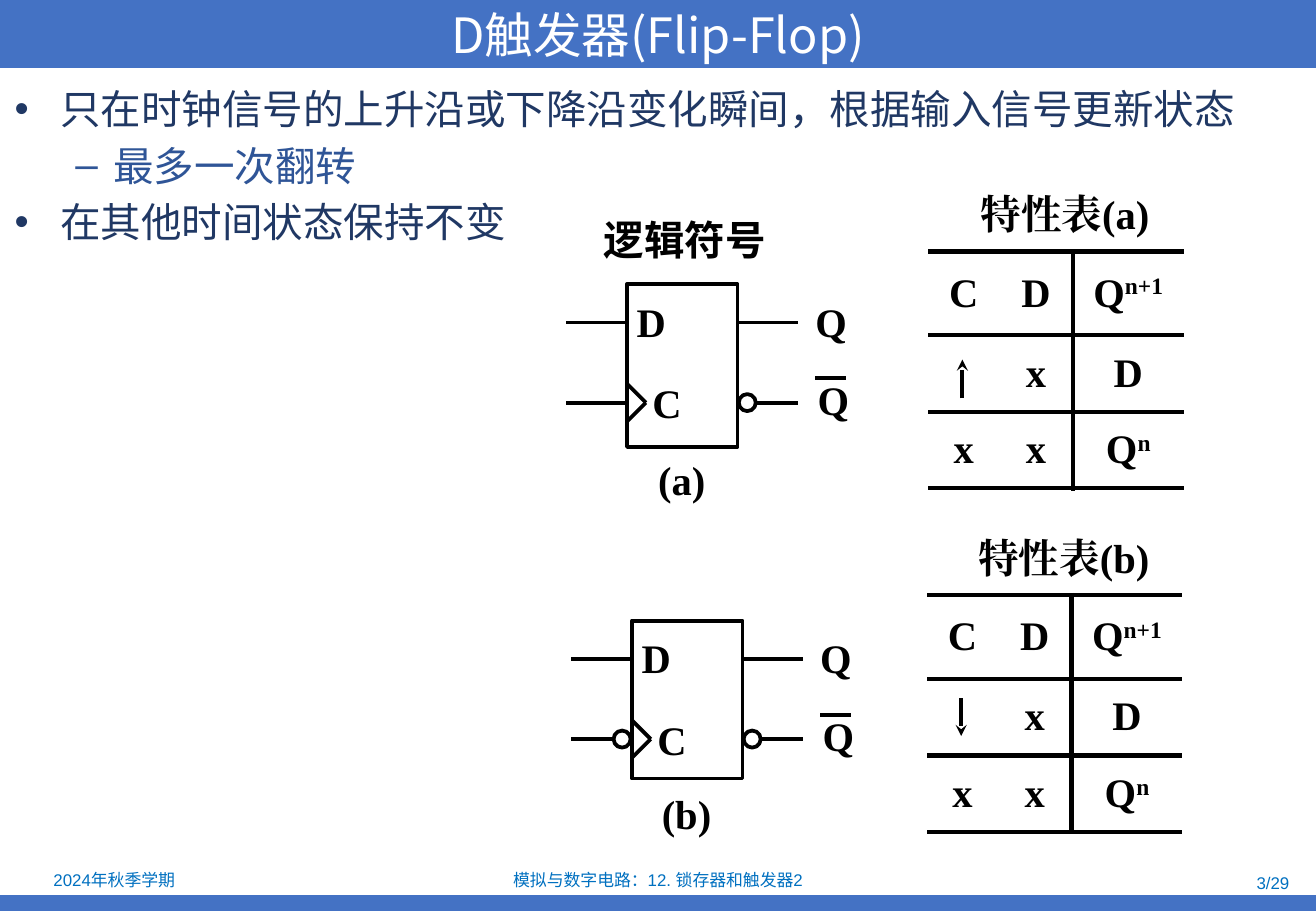
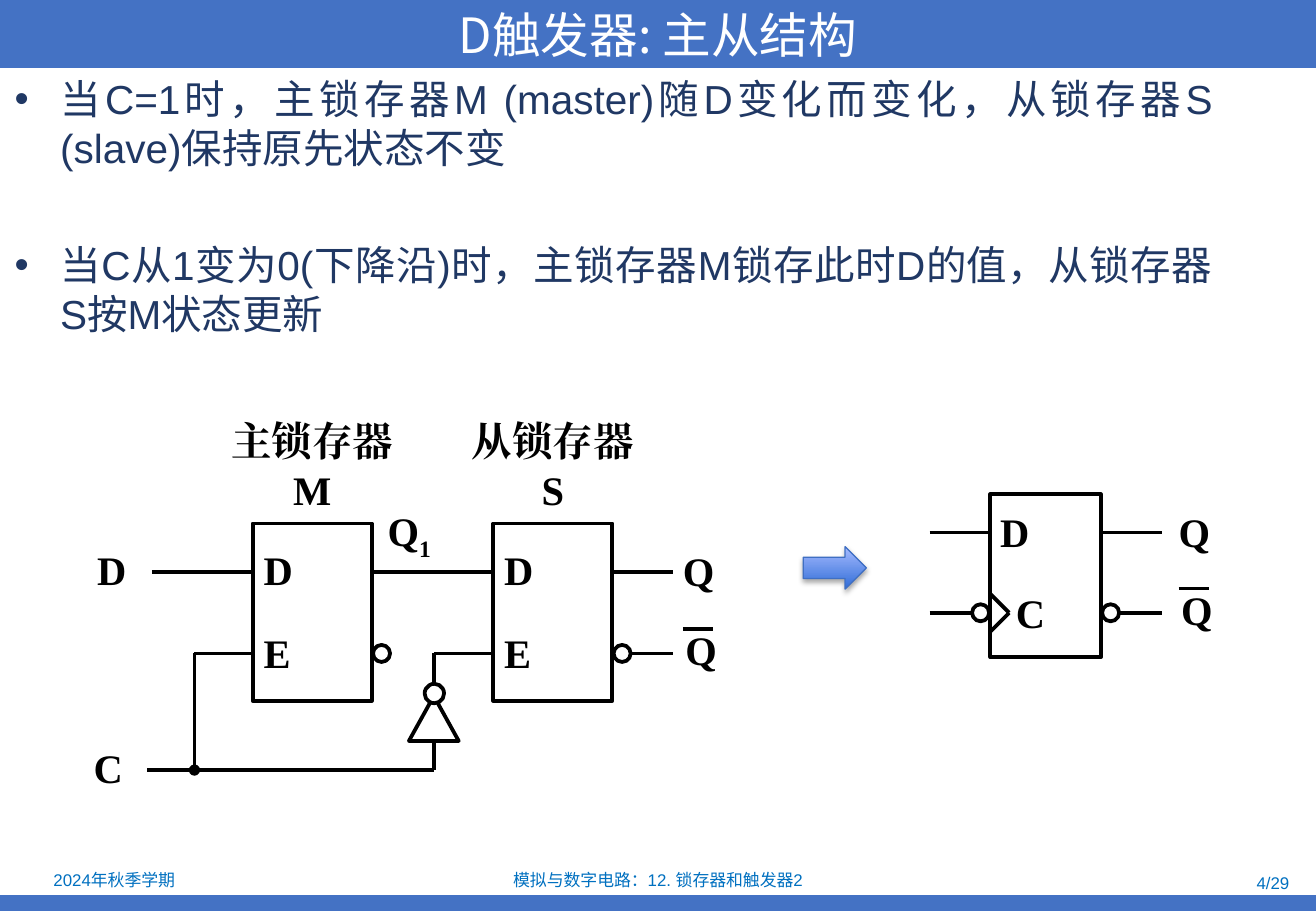
from lxml import etree
from pptx import Presentation
from pptx import util as u
from pptx.dml.color import RGBColor
from pptx.enum import shapes, text
from pptx.oxml.ns import qn

CELL = u.Inches(0.1)
COLS, ROWS = 108.3, 75
HUE = {"band": "4472C4", "foot": "0070C0", "white": "FFFFFF", "ink": "000000",
       "list": "203864", "sub": "2F5597", "dark": "316DD7", "pale": "A6BBFF",
       "edge": "3F6FC3"}
SANS, SERIF, HAN = "Arial", "Times New Roman", "Noto Sans CJK SC"
KIND = shapes.MSO_SHAPE
LEFT, MID, RIGHT, JUST = (text.PP_ALIGN.LEFT, text.PP_ALIGN.CENTER,
                          text.PP_ALIGN.RIGHT, text.PP_ALIGN.JUSTIFY)
DOT = 1.4
LEAD = 5


def grid(*cells):
    """Turn grid cells into lengths."""
    return [int(n * CELL) for n in cells]


def hue(name):
    """Look up a colour."""
    return RGBColor.from_string(HUE[name])


def node(root, tag, **attrs):
    """Append a drawing element."""
    return etree.SubElement(root, qn("a:" + tag), attrs)


def style(para, name, size, tint, bold=False, align=LEFT):
    """Set the font and alignment of a paragraph."""
    para.alignment = align
    font = para.font
    font.size, font.bold, font.name = u.Pt(size), bold, name
    font.color.rgb = hue(tint)
    node(font._element, "ea", typeface=name)


def write(para, words, base="", shift=0):
    """Add a run and an optional raised or lowered run."""
    para.add_run().text = words
    if base:
        run = para.add_run()
        run.text = base
        run.font._element.set("baseline", str(shift * 1000))


def place(shape, *box):
    """Move a shape to a box on the grid."""
    shape.left, shape.top, shape.width, shape.height = grid(*box)


def block(slide, kind, box, fill=None, line="ink", width=2.25):
    """Draw a preset shape."""
    shape = slide.shapes.add_shape(kind, *grid(*box))
    shape.shadow.inherit = False
    if fill:
        shape.fill.solid()
        shape.fill.fore_color.rgb = hue(fill)
    else:
        shape.fill.background()
    if line:
        shape.line.color.rgb = hue(line)
        shape.line.width = u.Pt(width)
    else:
        shape.line.fill.background()
    return shape


def wire(slide, x, y, to_x, to_y, tail=None):
    """Draw a straight wire with an optional end mark."""
    line = slide.shapes.add_connector(shapes.MSO_CONNECTOR.STRAIGHT, *grid(x, y, to_x, to_y))
    line.line.color.rgb = hue("ink")
    line.line.width = u.Pt(2.25)
    if tail:
        node(line.line._get_or_add_ln(), "tailEnd", type=tail)
    node(line._element.spPr, "effectLst")


def note(slide, box, lines, name=SERIF, size=24, tint="ink", bold=True, align=LEFT,
         anchor=text.MSO_ANCHOR.TOP, base=""):
    """Write a label without side margins."""
    frame = slide.shapes.add_textbox(*grid(*box)).text_frame
    frame.word_wrap = True
    frame.margin_left = frame.margin_right = 0
    frame.vertical_anchor = anchor
    for i, words in enumerate(lines):
        para = frame.add_paragraph() if i else frame.paragraphs[0]
        write(para, words, base, -25)
        style(para, name, size, tint, bold, align)


def sign(slide, x, y, words, base=""):
    """Write a pin name left-aligned at a point."""
    note(slide, (x, y, 7, 5), [words], base=base)


def dot(slide, x, y):
    """Draw an inversion bubble whose left edge is at a point."""
    block(slide, KIND.OVAL, (x, y - DOT / 2, DOT, DOT), "white")


def outs(slide, x, high, low, gap):
    """Draw the Q and inverted Q outputs."""
    end = x + LEAD
    for y in (high, low):
        wire(slide, x, y, end, y)
    dot(slide, x + 0.1, low)
    sign(slide, end + gap, high - 2.6, "Q")
    sign(slide, end + gap + 0.2, low - 2.8, "Q")
    wire(slide, end + gap, low - 2, end + gap + 2.5, low - 2)


def flip(slide, x, y, w=9.1, h=13.4, falling=True):
    """Draw a D flip-flop symbol in a box."""
    high, low = y + 3.15, y + 9.75
    block(slide, KIND.RECTANGLE, (x, y, w, h))
    for row in (high, low):
        wire(slide, x - LEAD, row, x, row)
    for side in (-1.55, 1.55):
        wire(slide, x, low + side, x + 1.55, low)
    if falling:
        dot(slide, x - 1.5, low)
    sign(slide, x + 0.8, high - 2.6, "D")
    sign(slide, x + 2.1, low - 2.5, "C")
    outs(slide, x + w, high, low, 1.4)


def latch(slide, x, y, w, h, high, low):
    """Draw a latch body with its pin names."""
    block(slide, KIND.RECTANGLE, (x, y, w, h))
    sign(slide, x + 0.9, high - 2.7, "D")
    sign(slide, x + 0.9, low - 2.6, "E")


def pair(slide, x, y):
    """Draw the master and slave latches with their clock inverter."""
    w, h, step = 9.8, 14.6, 19.8
    high, low, clock = y + 4, y + 10.7, y + 20.3
    second, mid, fork = x + step, x + 14.9, x - 4.8
    for left, words in ((x, ["主锁存器", "M"]), (second, ["从锁存器", "S"])):
        latch(slide, left, y, w, h, high, low)
        note(slide, (left - 5.1, y - 9.3, 20, 9), words, align=MID)
    wire(slide, x - 8.3, high, x, high)
    wire(slide, fork, low, x, low)
    wire(slide, x + w, high, second, high)
    wire(slide, mid, low, second, low)
    dot(slide, x + w + 0.1, low)
    sign(slide, x + 11.1, y - 1.9, "Q", "1")
    outs(slide, second + w, high, low, 0.8)
    wire(slide, mid, low, mid, clock)
    wire(slide, x - 8.7, clock, mid, clock)
    wire(slide, fork, low, fork, clock, "oval")
    block(slide, KIND.FLOWCHART_MERGE, (mid - 2.05, y + 14.2, 4.1, 3.7), "white").rotation = 180
    block(slide, KIND.OVAL, (mid - 0.75, y + 13.2, 1.6, 1.6), "white")
    sign(slide, x - 12.8, high - 2.7, "D")
    sign(slide, x - 13.1, clock - 2.7, "C")


def arrow(slide, box):
    """Draw the shaded arrow between the two diagrams."""
    shape = block(slide, KIND.RIGHT_ARROW, box, line="edge", width=0.75)
    shape.fill.gradient()
    shape.fill.gradient_angle = 90
    for stop, tint, spot in zip(shape.fill.gradient_stops, ("dark", "pale"), (0, 1)):
        stop.color.rgb = hue(tint)
        stop.position = spot
    glow = node(shape._element.spPr.find(qn("a:effectLst")), "outerShdw", blurRad="40000",
                dist="23000", dir="5400000", rotWithShape="0")
    node(node(glow, "srgbClr", val=HUE["ink"]), "alpha", val="35000")


def rule(cell, sides):
    """Draw only the named borders of a cell."""
    cell.fill.background()
    props = cell._tc.get_or_add_tcPr()
    for i, side in enumerate("LRTB"):
        line = etree.Element(qn("a:ln" + side), w=str(u.Pt(3)))
        if side in sides:
            node(node(line, "solidFill"), "srgbClr", val=HUE["ink"])
        else:
            node(line, "noFill")
        props.insert(i, line)


def truth(slide, x, y, name, rising):
    """Draw a characteristic table with its heading and clock edge."""
    wide, tall = (5.8, 6.1, 9.1), (6.9, 6.3, 6.3)
    data = ((("C",), ("D",), ("Q", "n+1")),
            ((), ("x",), ("D",)),
            (("x",), ("x",), ("Q", "n")))
    note(slide, (x + 2.6, y - 5.6, 17.3, 5), [name], align=MID)
    table = slide.shapes.add_table(3, 3, *grid(x, y, sum(wide), sum(tall))).table
    table.first_row = table.horz_banding = False
    for r, row in enumerate(data):
        table.columns[r].width, table.rows[r].height = grid(wide[r], tall[r])
        for c, words in enumerate(row):
            cell = table.cell(r, c)
            cell.margin_left = cell.margin_right = cell.margin_top = cell.margin_bottom = 0
            cell.vertical_anchor = text.MSO_ANCHOR.MIDDLE
            para = cell.text_frame.paragraphs[0]
            if words:
                write(para, *words, **({"shift": 30} if words[1:] else {}))
            style(para, SERIF, 24, "ink", True, MID)
            rule(cell, "TB" + ("", "R", "L")[c])
    ends = (y + 12.1, y + 8.9) if rising else (y + 8.5, y + 11.6)
    wire(slide, x + 2.8, ends[0], x + 2.8, ends[1], "stealth")


def frame(deck, title, page):
    """Add a slide with its title band and footer."""
    slide = deck.slides.add_slide(deck.slide_layouts[1])
    block(slide, KIND.RECTANGLE, (0, 73.7, COLS, 1.3), "band", None)
    for box, words, align in (((0.2, 71.3, 18.4, 2.3), "2024年秋季学期", MID),
                              ((37, 71.4, 34.3, 2.1), "模拟与数字电路：12. 锁存器和触发器2", MID),
                              ((81.8, 71.6, 24.3, 2.1), page, RIGHT)):
        note(slide, box, [words], SANS, 10, "foot", False, align, text.MSO_ANCHOR.MIDDLE)
    head = slide.shapes.title
    place(head, 0, 0, COLS, 5.6)
    head.fill.solid()
    head.fill.fore_color.rgb = hue("band")
    head.text_frame.text = title
    head.text_frame.auto_size = text.MSO_AUTO_SIZE.NONE
    head.text_frame.vertical_anchor = text.MSO_ANCHOR.MIDDLE
    style(head.text_frame.paragraphs[0], HAN, 28.8, "white", align=MID)
    return slide


def points(slide, box, items, align=LEFT, gap=4.8):
    """Fill the body list with levelled items."""
    body = slide.placeholders[1]
    place(body, *box)
    body.text_frame.auto_size = text.MSO_AUTO_SIZE.NONE
    for i, (level, words) in enumerate(items):
        para = body.text_frame.add_paragraph() if i else body.text_frame.paragraphs[0]
        para.text, para.level = words, level
        para.space_before = u.Pt(gap if i else 0)
        style(para, SANS, 24, "sub" if level else "list", align=align)


def symbols(deck):
    """Build the slide of symbols and characteristic tables."""
    slide = frame(deck, "D触发器(Flip-Flop)", "3/29")
    points(slide, (0.2, 6.4, 103, 65),
           [(0, "只在时钟信号的上升沿或下降沿变化瞬间，根据输入信号更新状态"),
            (1, "最多一次翻转"), (0, "在其他时间状态保持不变")])
    note(slide, (47.1, 17.2, 18.5, 5), ["逻辑符号"], SANS, align=MID)
    flip(slide, 51.6, 23.4, falling=False)
    flip(slide, 52, 51.1, h=13)
    note(slide, (51.1, 37, 10, 5), ["(a)"], align=MID)
    note(slide, (51.5, 64.5, 10, 5), ["(b)"], align=MID)
    truth(slide, 76.4, 20.7, "特性表(a)", True)
    truth(slide, 76.3, 49, "特性表(b)", False)


def master(deck):
    """Build the slide of the master and slave structure."""
    slide = frame(deck, "D触发器: 主从结构", "4/29")
    points(slide, (0.2, 5.6, 100.6, 65.9),
           [(0, "当C=1时，主锁存器M (master)随D变化而变化，从锁存器S (slave)保持原先状态不变"),
            (0, "当C从1变为0(下降沿)时，主锁存器M锁存此时D的值，从锁存器S按M状态更新")],
           JUST, 41)
    pair(slide, 20.8, 43.1)
    flip(slide, 81.5, 40.7)
    arrow(slide, (66.1, 45, 5.2, 3.5))


def main():
    """Build and save the deck."""
    deck = Presentation()
    deck.slide_width, deck.slide_height = grid(COLS, ROWS)
    symbols(deck)
    master(deck)
    deck.save("out.pptx")


if __name__ == "__main__":
    main()
